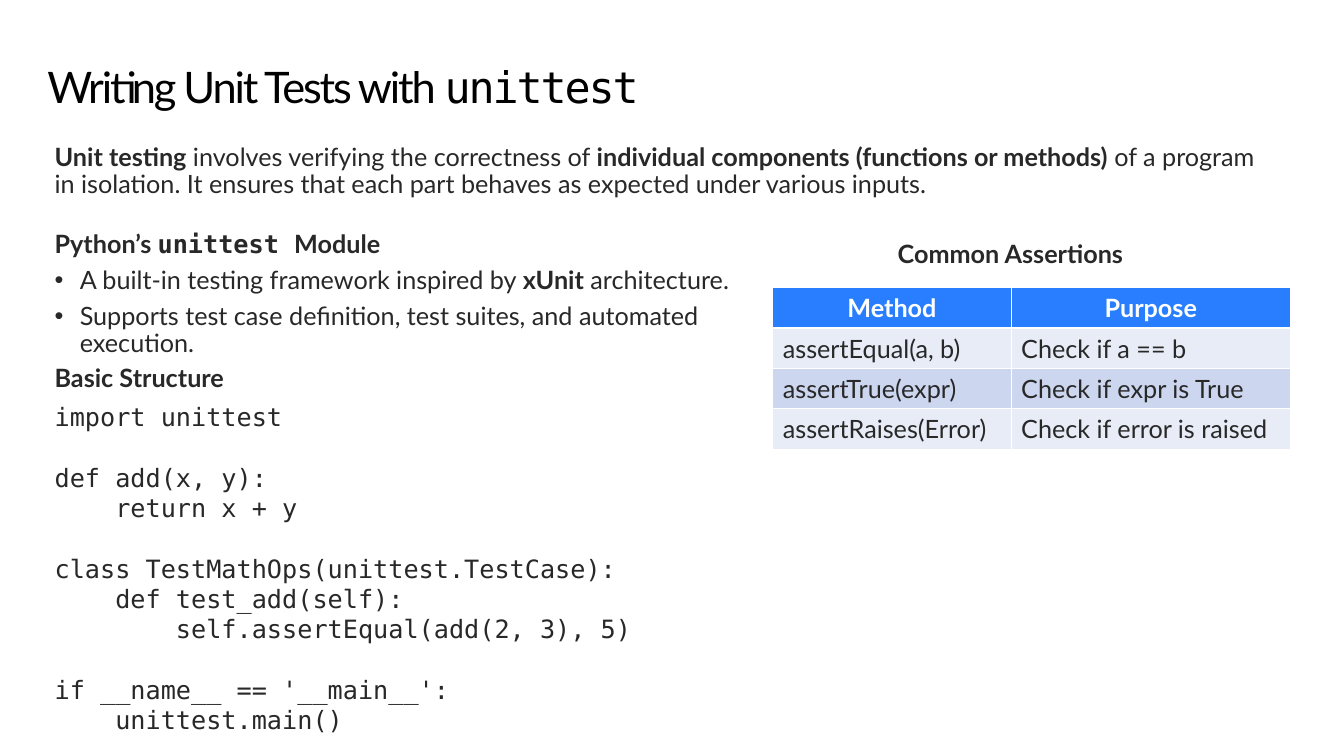
from dataclasses import dataclass

import lxml.etree
import pptx
import pptx.dml.color
import pptx.enum.text
import pptx.oxml.ns
import pptx.shapes.base
import pptx.slide
import pptx.table
import pptx.text.text
import pptx.util

EMU_PER_PX = 9525
TITLE_ONLY = 5
ANCHOR = pptx.enum.text.MSO_ANCHOR
ALIGN = pptx.enum.text.PP_ALIGN
AUTO_SIZE = pptx.enum.text.MSO_AUTO_SIZE


@dataclass(frozen=True)
class Theme:
    sans: str = "Lato"
    mono: str = "DejaVu Sans Mono"
    black: str = "000000"
    ink: str = "282828"
    white: str = "FFFFFF"
    header: str = "287EFF"
    bands: tuple[str, str] = ("E7ECF7", "CCD6EF")
    title_size: float = 31
    body_size: float = 18
    code_leading: float = 21.6
    space_after: float = 6


@dataclass(frozen=True)
class Piece:
    text: str
    bold: bool = False
    mono: bool = False


@dataclass(frozen=True)
class Line:
    pieces: tuple[Piece, ...]
    bullet: bool = False


@dataclass(frozen=True)
class Box:
    left: int
    top: int
    width: int
    height: int


THEME = Theme()
TITLE_BOX = Box(45, 46, 1189, 78)
INTRO_BOX = Box(33, 123, 1202, 84)
MODULE_BOX = Box(33, 206, 704, 515)
CAPTION_BOX = Box(836, 217, 270, 58)
TABLE_BOX = Box(736, 274, 493, 152)
COLUMN_WIDTHS = (227, 266)

INTRO = [Line((
    Piece("Unit testing", bold=True),
    Piece(" involves verifying the correctness of "),
    Piece("individual components (functions or methods)", bold=True),
    Piece(" of a program in isolation. It ensures that each part behaves as "
          "expected under various inputs."),
))]
MODULE = [
    Line((Piece("Python’s ", bold=True), Piece("unittest ", bold=True, mono=True),
          Piece("Module", bold=True))),
    Line((Piece("A built-in testing framework inspired by "), Piece("xUnit", bold=True),
          Piece(" architecture.")), bullet=True),
    Line((Piece("Supports test case definition, test suites, and automated execution."),),
         bullet=True),
    Line((Piece("Basic Structure", bold=True),)),
]
CODE_BLOCKS = [
    ["import unittest"],
    ["def add(x, y):", "    return x + y"],
    ["class TestMathOps(unittest.TestCase):", "    def test_add(self):",
     "        self.assertEqual(add(2, 3), 5)"],
    ["if __name__ == '__main__':", "    unittest.main()"],
]
CAPTION = [Line((Piece("Common Assertions", bold=True),))]
ASSERTIONS = [
    ("Method", "Purpose"),
    ("assertEqual(a, b)", "Check if a == b"),
    ("assertTrue(expr)", "Check if expr is True"),
    ("assertRaises(Error)", "Check if error is raised"),
]


def px(length: int) -> pptx.util.Emu:
    return pptx.util.Emu(length * EMU_PER_PX)


def place(box: Box) -> tuple[pptx.util.Emu, ...]:
    return px(box.left), px(box.top), px(box.width), px(box.height)


def add_text(paragraph: pptx.text.text._Paragraph, text: str, *, bold: bool = False,
             mono: bool = False, size: float = THEME.body_size, color: str = THEME.ink,
             tracking: float = 0) -> None:
    run = paragraph.add_run()
    run.text = text
    run.font.name = THEME.mono if mono else THEME.sans
    run.font.size = pptx.util.Pt(size)
    run.font.bold = bold
    run.font.color.rgb = pptx.dml.color.RGBColor.from_string(color)
    if tracking:
        run.font._element.set("spc", str(round(tracking * 100)))


def next_paragraph(frame: pptx.text.text.TextFrame) -> pptx.text.text._Paragraph:
    """Return the unused first paragraph, or a new one."""
    first = frame.paragraphs[0]
    return first if not first.runs else frame.add_paragraph()


def add_child(parent: lxml.etree._Element, tag: str, **attributes: str) -> lxml.etree._Element:
    return lxml.etree.SubElement(parent, pptx.oxml.ns.qn(tag), attributes)


def add_bullet(paragraph: pptx.text.text._Paragraph) -> None:
    properties = paragraph._p.get_or_add_pPr()
    indent = px(24)
    properties.set("marL", str(indent))
    properties.set("indent", str(-indent))
    add_child(properties, "a:buFont", typeface="Arial")
    add_child(properties, "a:buChar", char="•")


def set_margins(frame: pptx.text.text.TextFrame, left: int, top: int, right: int,
                bottom: int) -> None:
    frame.margin_left, frame.margin_top = px(left), px(top)
    frame.margin_right, frame.margin_bottom = px(right), px(bottom)


def add_title(slide: pptx.slide.Slide) -> None:
    title = slide.shapes.title
    title.left, title.top, title.width, title.height = place(TITLE_BOX)
    frame = title.text_frame
    set_margins(frame, 0, 17, 0, 0)
    frame.auto_size = AUTO_SIZE.NONE
    frame.vertical_anchor = ANCHOR.TOP
    paragraph = frame.paragraphs[0]
    paragraph.alignment = ALIGN.LEFT
    paragraph.line_spacing = 0.9
    for text, mono in (("Writing Unit Tests with ", False), ("unittest", True)):
        add_text(paragraph, text, mono=mono, size=THEME.title_size, color=THEME.black,
                 tracking=-1.5)


def add_text_box(slide: pptx.slide.Slide, box: Box,
                 lines: list[Line]) -> pptx.text.text.TextFrame:
    frame = slide.shapes.add_textbox(*place(box)).text_frame
    frame.word_wrap = True
    frame.auto_size = AUTO_SIZE.SHAPE_TO_FIT_TEXT
    set_margins(frame, 19, 15, 19, 15)
    for line in lines:
        paragraph = next_paragraph(frame)
        if line.bullet:
            add_bullet(paragraph)
        paragraph.line_spacing = 0.9
        paragraph.space_after = pptx.util.Pt(THEME.space_after)
        for piece in line.pieces:
            add_text(paragraph, piece.text, bold=piece.bold, mono=piece.mono)
    return frame


def add_code(frame: pptx.text.text.TextFrame, blocks: list[list[str]]) -> None:
    """Append code, leaving one line of space between blocks."""
    leading = pptx.util.Pt(THEME.code_leading)
    for block_index, block in enumerate(blocks):
        for line_index, text in enumerate(block):
            paragraph = next_paragraph(frame)
            paragraph.line_spacing = leading
            if block_index and not line_index:
                paragraph.space_before = leading
            add_text(paragraph, text, mono=True)


def format_cell(cell: pptx.table._Cell, fill: str) -> None:
    """Give the cell white borders and a solid fill."""
    properties = cell._tc.get_or_add_tcPr()
    for side in ("a:lnL", "a:lnR", "a:lnT", "a:lnB"):
        border = add_child(properties, side, w=str(pptx.util.Pt(1)))
        add_child(add_child(border, "a:solidFill"), "a:srgbClr", val=THEME.white)
    cell.fill.solid()
    cell.fill.fore_color.rgb = pptx.dml.color.RGBColor.from_string(fill)
    cell.vertical_anchor = ANCHOR.MIDDLE


def add_assertion_table(slide: pptx.slide.Slide) -> None:
    table = slide.shapes.add_table(len(ASSERTIONS), len(COLUMN_WIDTHS),
                                   *place(TABLE_BOX)).table
    for column, width in zip(table.columns, COLUMN_WIDTHS):
        column.width = px(width)
    for row_index, row in enumerate(ASSERTIONS):
        is_header = row_index == 0
        fill = THEME.header if is_header else THEME.bands[(row_index - 1) % 2]
        for column_index, text in enumerate(row):
            cell = table.cell(row_index, column_index)
            format_cell(cell, fill)
            paragraph = cell.text_frame.paragraphs[0]
            paragraph.alignment = ALIGN.CENTER if is_header else ALIGN.LEFT
            add_text(paragraph, text, bold=is_header,
                     color=THEME.white if is_header else THEME.ink)


def main() -> None:
    presentation = pptx.Presentation()
    presentation.slide_width, presentation.slide_height = px(1280), px(720)
    slide = presentation.slides.add_slide(presentation.slide_layouts[TITLE_ONLY])
    add_title(slide)
    add_text_box(slide, INTRO_BOX, INTRO)
    add_code(add_text_box(slide, MODULE_BOX, MODULE), CODE_BLOCKS)
    add_text_box(slide, CAPTION_BOX, CAPTION)
    add_assertion_table(slide)
    presentation.save("out.pptx")


if __name__ == "__main__":
    main()
